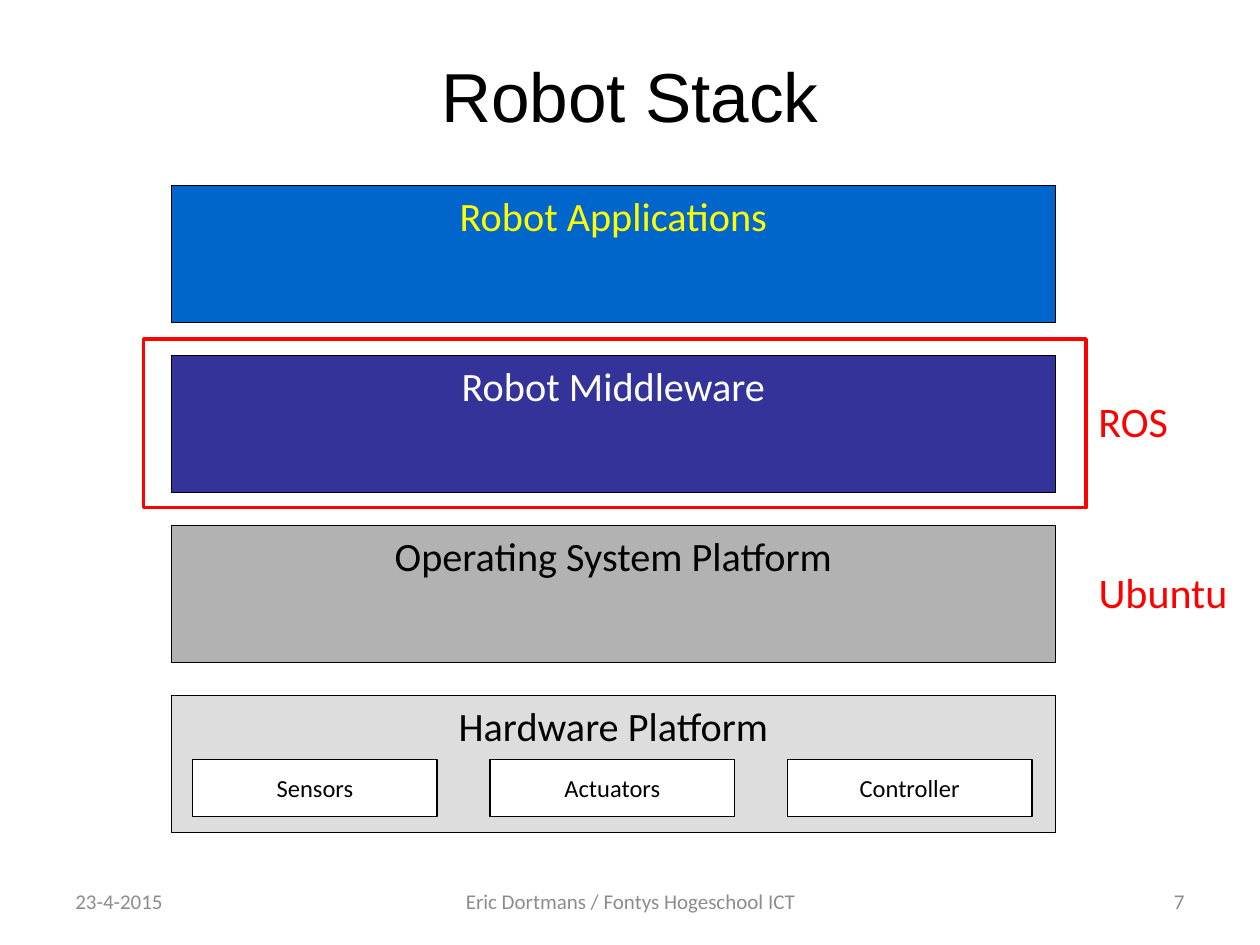
"""Build the Robot Stack slide: four stacked layers with software labels."""
from pptx import Presentation
from pptx.dml.color import RGBColor
from pptx.enum.shapes import MSO_SHAPE as Shape
from pptx.enum.text import MSO_ANCHOR as Anchor, PP_ALIGN as Align
from pptx.util import Inches, Pt

COLORS = {
    "black": "000000", "white": "FFFFFF", "red": "FF0000", "yellow": "FFFF00",
    "blue": "0066CC", "indigo": "333399", "gray": "B2B2B2", "silver": "DDDDDD",
    "footer": "8C8C8C",
}
LAYER_LEFT, LAYER_TOP, LAYER_WIDTH, LAYER_HEIGHT, LAYER_PITCH = 1.36, 1.47, 7.02, 1.09, 1.35
PART_LEFT, PART_PITCH = 1.53, 2.36
FOOTER_TOP, FOOTER_HEIGHT = 6.95, 0.4


def write(box, text, size, color, font="Calibri", align=Align.CENTER, anchor=Anchor.TOP, wrap=True):
    frame = box.text_frame
    frame.word_wrap = wrap
    frame.vertical_anchor = anchor
    paragraph = frame.paragraphs[0]
    paragraph.alignment = align
    run = paragraph.add_run()
    run.text = text
    run.font.size = Pt(size)
    run.font.name = font
    run.font.color.rgb = RGBColor.from_string(COLORS[color])


def add_box(left, top, width, height, fill=None, line="black", weight=0.75):
    box = slide.shapes.add_shape(Shape.RECTANGLE, *map(Inches, (left, top, width, height)))
    box.shadow.inherit = False
    if fill:
        box.fill.solid()
        box.fill.fore_color.rgb = RGBColor.from_string(COLORS[fill])
    else:
        box.fill.background()
    box.line.color.rgb = RGBColor.from_string(COLORS[line])
    box.line.width = Pt(weight)
    return box


deck = Presentation()
deck.slide_width, deck.slide_height = Inches(10), Inches(7.5)
slide = deck.slides.add_slide(deck.slide_layouts[5])

heading = slide.shapes.title
heading.left, heading.top, heading.width, heading.height = map(Inches, (0.5, 0.3, 9, 1.25))
heading.text_frame.margin_bottom = Inches(0.4)
write(heading, "Robot Stack", 39.6, "black", font="Arial", anchor=Anchor.MIDDLE)

layers = [
    ("Robot Applications", "blue", "yellow"),
    ("Robot Middleware", "indigo", "white"),
    ("Operating System Platform", "gray", "black"),
    ("Hardware Platform", "silver", "black"),
]
for row, (layer_name, fill, color) in enumerate(layers):
    layer = add_box(LAYER_LEFT, LAYER_TOP + row * LAYER_PITCH, LAYER_WIDTH, LAYER_HEIGHT, fill)
    write(layer, layer_name, 23, color)

for column, part_name in enumerate(["Sensors", "Actuators", "Controller"]):
    part = add_box(PART_LEFT + column * PART_PITCH, 6.03, 1.94, 0.45, "white")
    write(part, part_name, 14, "black", anchor=Anchor.MIDDLE, wrap=False)

add_box(1.14, 2.69, 7.48, 1.34, line="red", weight=2)

for software, top, width in [("ROS", 3.09, 0.94), ("Ubuntu", 4.45, 1.32)]:
    label = slide.shapes.add_textbox(*map(Inches, (8.62, top, width, 0.5)))
    write(label, software, 24, "red", align=Align.LEFT)

footers = [
    ("23-4-2015", 0.5, 2.33, Align.LEFT),
    ("Eric Dortmans / Fontys Hogeschool ICT", 3.42, 3.17, Align.CENTER),
    ("7", 7.17, 2.33, Align.RIGHT),
]
for footer_text, left, width, align in footers:
    footer = slide.shapes.add_textbox(*map(Inches, (left, FOOTER_TOP, width, FOOTER_HEIGHT)))
    write(footer, footer_text, 12, "footer", align=align, anchor=Anchor.MIDDLE)

deck.save("out.pptx")
